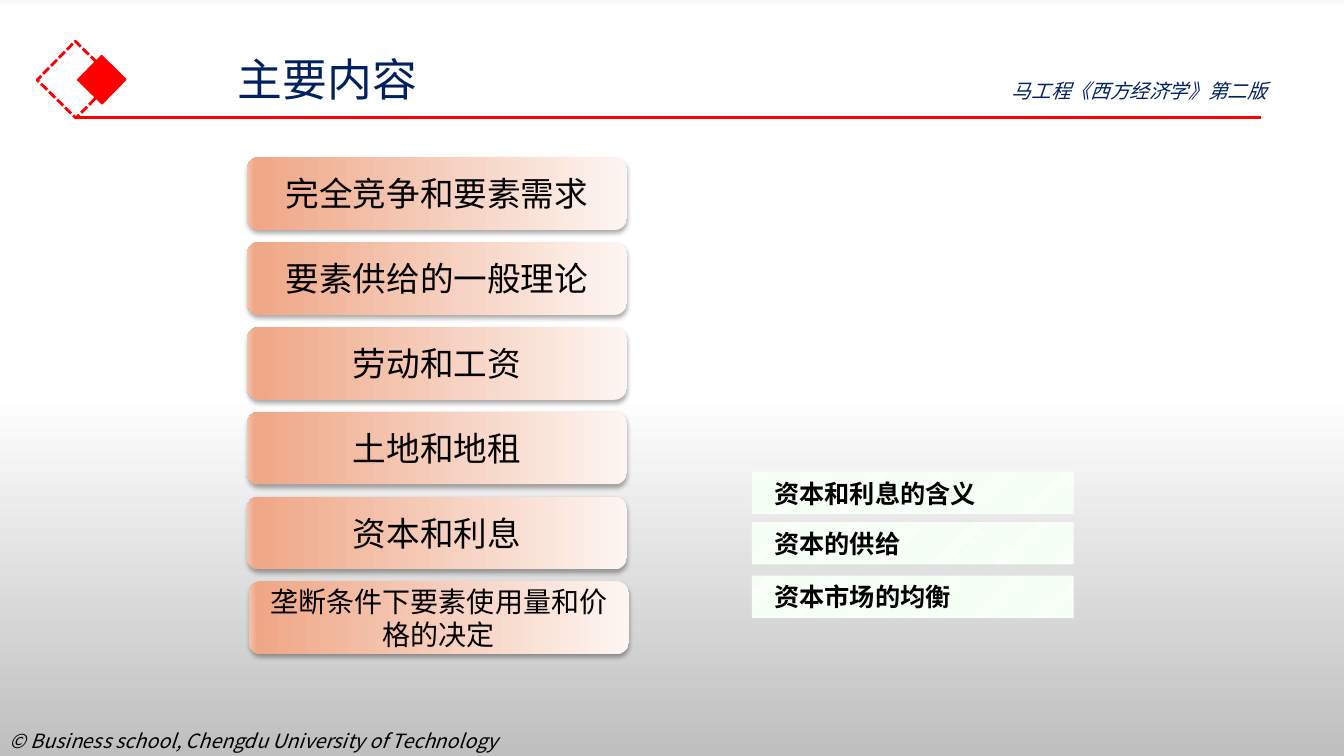
from dataclasses import dataclass

from pptx import Presentation
from pptx.dml.color import RGBColor
from pptx.dml.fill import FillFormat
from pptx.enum.dml import MSO_LINE, MSO_PATTERN
from pptx.enum.shapes import MSO_CONNECTOR, MSO_SHAPE
from pptx.enum.text import MSO_ANCHOR, PP_ALIGN
from pptx.oxml.ns import qn
from pptx.oxml.xmlchemy import OxmlElement
from pptx.shapes.autoshape import Shape
from pptx.slide import Slide
from pptx.text.text import TextFrame
from pptx.util import Inches, Length, Pt

COLUMNS = 80
ROWS = 45
SLIDE_WIDTH = Inches(13.33)
SLIDE_HEIGHT = Inches(7.5)


@dataclass(frozen=True)
class Theme:
    font: str = "Noto Sans CJK SC"
    point_font: str = "Calibri"
    text: str = "000000"
    navy: str = "002060"
    red: str = "FF0000"
    pattern_line: str = "CCFFCC"
    pattern_ground: str = "FFFFFF"
    background: tuple = ((0, "F9F9F9"), (1, "FFFFFF"), (52, "FFFFFF"), (100, "BFBFBF"))
    topic: tuple = ((0, "FDF5F2"), (98, "EFA787"), (100, "F4C4AF"))
    title_size: int = 32
    topic_size: int = 24
    long_topic_size: int = 20
    point_size: int = 18
    note_size: int = 14


THEME = Theme()


@dataclass(frozen=True)
class Area:
    """A place on the grid, in columns and rows."""
    column: float
    row: float
    width: float
    height: float

    def lengths(self) -> tuple[Length, Length, Length, Length]:
        return across(self.column), down(self.row), across(self.width), down(self.height)


@dataclass(frozen=True)
class Style:
    size: int
    color: str = THEME.text
    font: str = THEME.font
    bold: bool = False
    italic: bool = False
    alignment: PP_ALIGN = PP_ALIGN.LEFT
    anchor: MSO_ANCHOR = MSO_ANCHOR.TOP


@dataclass(frozen=True)
class Topic:
    text: str
    size: int = THEME.topic_size
    indent: float = 0


@dataclass(frozen=True)
class Point:
    text: str
    row: float


TOPICS = (
    Topic("完全竞争和要素需求"),
    Topic("要素供给的一般理论"),
    Topic("劳动和工资"),
    Topic("土地和地租"),
    Topic("资本和利息"),
    Topic("垄断条件下要素使用量和价格的决定", THEME.long_topic_size, 0.12),
)
TOPIC_AREA = Area(14.7, 9.36, 22.62, 4.32)
TOPIC_PITCH = 5.05

POINTS = (
    Point("资本和利息的含义", 28.08),
    Point("资本的供给", 31.08),
    Point("资本市场的均衡", 34.26),
)


def across(columns: float) -> Length:
    return Length(round(SLIDE_WIDTH * columns / COLUMNS))


def down(rows: float) -> Length:
    return Length(round(SLIDE_HEIGHT * rows / ROWS))


def color(value: str) -> RGBColor:
    return RGBColor.from_string(value)


def write(frame: TextFrame, text: str, style: Style) -> None:
    frame.word_wrap = True
    frame.vertical_anchor = style.anchor
    paragraph = frame.paragraphs[0]
    paragraph.alignment = style.alignment
    run = paragraph.add_run()
    run.text = text
    run.font.size = Pt(style.size)
    run.font.bold = style.bold
    run.font.italic = style.italic
    run.font.color.rgb = color(style.color)
    run.font.name = style.font
    east_asian = OxmlElement("a:ea")
    east_asian.set("typeface", THEME.font)
    run.font._element.append(east_asian)


def set_gradient(fill: FillFormat, owner, stops: tuple, angle: float) -> None:
    fill.gradient()
    fill.gradient_angle = angle
    stop_list = owner.find(".//" + qn("a:gsLst"))
    for old_stop in list(stop_list):
        stop_list.remove(old_stop)
    for position, value in stops:
        stop = OxmlElement("a:gs")
        stop.set("pos", str(position * 1000))
        stop_color = OxmlElement("a:srgbClr")
        stop_color.set("val", value)
        stop.append(stop_color)
        stop_list.append(stop)


def add_shadow(shape: Shape) -> None:
    shadow = OxmlElement("a:outerShdw")
    settings = {"blurRad": Pt(3.5), "dist": Pt(2.2), "dir": 90 * 60000, "rotWithShape": 0}
    for name, value in settings.items():
        shadow.set(name, str(int(value)))
    shadow_color = OxmlElement("a:srgbClr")
    shadow_color.set("val", "000000")
    alpha = OxmlElement("a:alpha")
    alpha.set("val", "32000")
    shadow_color.append(alpha)
    shadow.append(shadow_color)
    shape._element.spPr.find(qn("a:effectLst")).append(shadow)


def add_plain_shape(slide: Slide, kind: MSO_SHAPE, area: Area) -> Shape:
    shape = slide.shapes.add_shape(kind, *area.lengths())
    shape.shadow.inherit = False
    shape.line.fill.background()
    return shape


def add_label(slide: Slide, area: Area, text: str, style: Style) -> None:
    write(slide.shapes.add_textbox(*area.lengths()).text_frame, text, style)


def add_diamond(slide: Slide, area: Area, line_width: float, dashed: bool) -> None:
    diamond = add_plain_shape(slide, MSO_SHAPE.RECTANGLE, area)
    diamond.rotation = 314.5
    diamond.line.color.rgb = color(THEME.red)
    diamond.line.width = Pt(line_width)
    if dashed:
        diamond.fill.background()
        diamond.line.dash_style = MSO_LINE.SQUARE_DOT
    else:
        diamond.fill.solid()
        diamond.fill.fore_color.rgb = color(THEME.red)


def add_rule(slide: Slide) -> None:
    row = down(7.02)
    rule = slide.shapes.add_connector(MSO_CONNECTOR.STRAIGHT, across(4.5), row, across(75.06), row)
    rule.line.color.rgb = color(THEME.red)
    rule.line.width = Pt(2.25)
    rule._element.spPr.append(OxmlElement("a:effectLst"))


def add_topic(slide: Slide, topic: Topic, index: int) -> None:
    area = Area(TOPIC_AREA.column + topic.indent, TOPIC_AREA.row + index * TOPIC_PITCH,
                TOPIC_AREA.width, TOPIC_AREA.height)
    shape = add_plain_shape(slide, MSO_SHAPE.ROUNDED_RECTANGLE, area)
    set_gradient(shape.fill, shape._element.spPr, THEME.topic, 180)
    add_shadow(shape)
    write(shape.text_frame, topic.text,
          Style(topic.size, alignment=PP_ALIGN.CENTER, anchor=MSO_ANCHOR.MIDDLE))


def add_point(slide: Slide, point: Point) -> None:
    shape = add_plain_shape(slide, MSO_SHAPE.RECTANGLE, Area(44.76, point.row, 19.14, 2.52))
    shape.fill.patterned()
    shape.fill.pattern = MSO_PATTERN.LIGHT_UPWARD_DIAGONAL
    shape.fill.fore_color.rgb = color(THEME.pattern_line)
    shape.fill.back_color.rgb = color(THEME.pattern_ground)
    shape.text_frame.margin_left = shape.text_frame.margin_right = across(1.32)
    write(shape.text_frame, point.text,
          Style(THEME.point_size, font=THEME.point_font, bold=True,
                alignment=PP_ALIGN.JUSTIFY, anchor=MSO_ANCHOR.MIDDLE))


def main() -> None:
    presentation = Presentation()
    presentation.slide_width = SLIDE_WIDTH
    presentation.slide_height = SLIDE_HEIGHT
    slide = presentation.slides.add_slide(presentation.slide_layouts.get_by_name("Title Only"))
    set_gradient(slide.background.fill, slide.element, THEME.background, 270)

    # Header
    title = slide.shapes.title
    title.left, title.top, title.width, title.height = Area(13.56, 2.76, 29.76, 3.84).lengths()
    write(title.text_frame, "主要内容", Style(THEME.title_size, THEME.navy))
    add_diamond(slide, Area(2.88, 3.12, 3.24, 3.24), 2, dashed=True)
    add_diamond(slide, Area(5.04, 3.72, 2.04, 2.04), 1, dashed=False)
    add_rule(slide)
    add_label(slide, Area(59.64, 4.38, 19.44, 2.04), "马工程《西方经济学》第二版",
              Style(THEME.note_size, THEME.navy, italic=True))

    # Chapter topics and the points of the current one
    for index, topic in enumerate(TOPICS):
        add_topic(slide, topic, index)
    for point in POINTS:
        add_point(slide, point)

    # Footer
    add_label(slide, Area(0, 43.08, 31.86, 2.04), "© Business school, Chengdu University of Technology",
              Style(THEME.note_size, italic=True))
    presentation.save("out.pptx")


if __name__ == "__main__":
    main()
